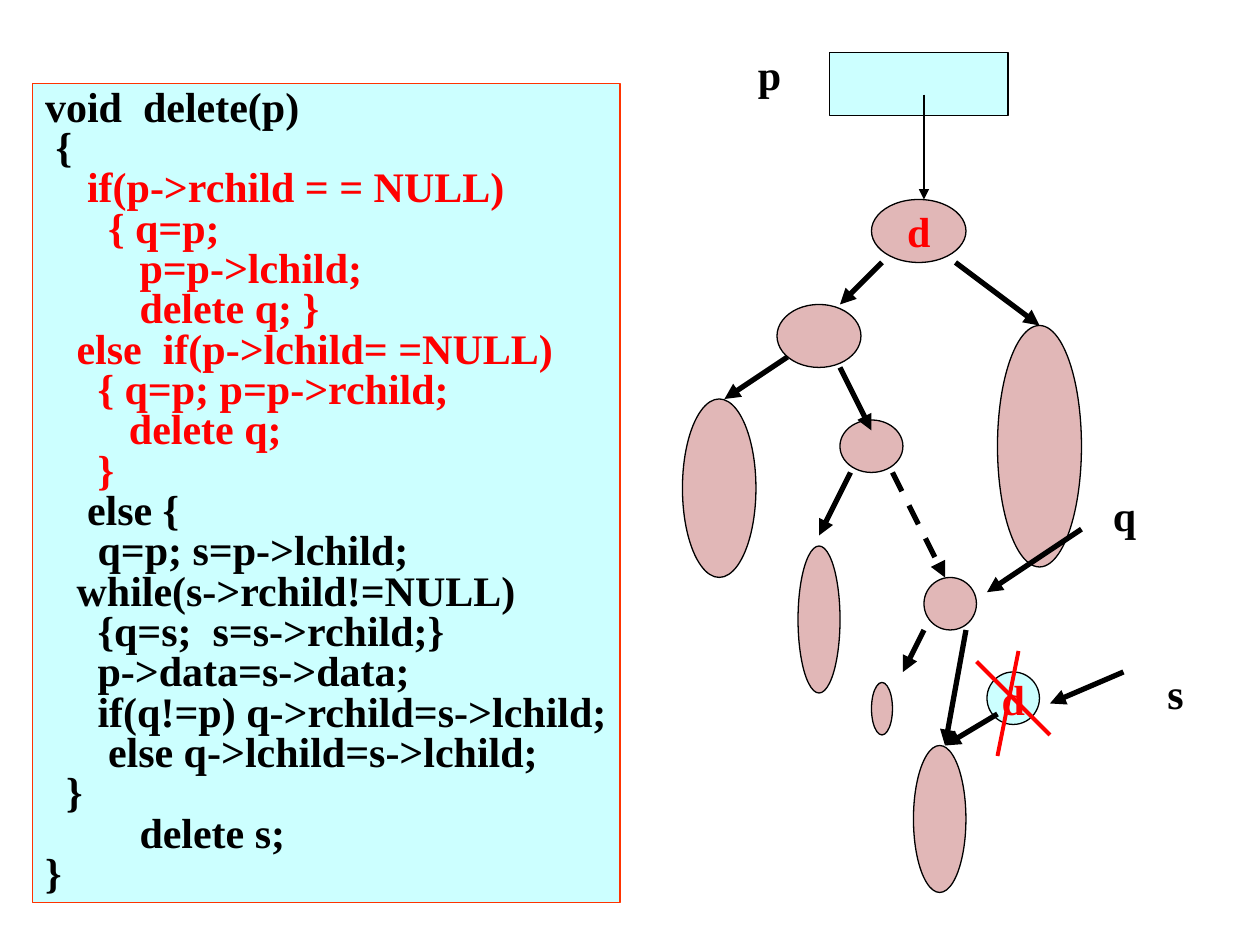
from typing import NamedTuple

from pptx import Presentation, util as u
from pptx.dml.color import RGBColor
from pptx.enum import dml, shapes, text
from pptx.oxml.ns import qn
from lxml import etree

FONT = "Times New Roman"
BLACK, RED, ORANGE, CYAN, PINK = "000000", "FF0000", "FF3300", "CCFFFF", "E1B7B7"


class Node(NamedTuple):
    left: float
    top: float
    width: float
    height: float
    fill: str = PINK
    label: str = ""
    kind: int = shapes.MSO_SHAPE.OVAL


class Line(NamedTuple):
    x1: float
    y1: float
    x2: float
    y2: float
    width: float = 3
    color: str = BLACK
    dashed: bool = False
    arrow: bool = True


class Label(NamedTuple):
    text: str
    left: float
    top: float
    width: float


# The drawing sits on a grid of twelfths of an inch.
NODES = [
    Node(79, 5, 17, 6, CYAN, kind=shapes.MSO_SHAPE.RECTANGLE),
    Node(83, 19, 9, 6, label="d"),
    Node(74, 29, 8, 6),
    Node(65, 38, 7, 17),
    Node(80, 40, 6, 5),
    Node(95, 31, 8, 23),
    Node(88, 55, 5, 5),
    Node(94, 64, 5, 5, CYAN, "d"),
    Node(87, 71, 5, 14),
    Node(76, 52, 4, 14),
    Node(83, 65, 2, 5),
]
ARROWS = [
    Line(88, 9, 88, 19, width=0.75),
    Line(91, 25, 99, 31),
    Line(84, 25, 80, 29),
    Line(75, 34, 69, 38),
    Line(80, 35, 83, 41),
    Line(81, 45, 78, 51),
    Line(85, 45, 90, 55, dashed=True),
    Line(88, 60, 86, 64),
    Line(92, 60, 90, 71),
    Line(95, 68, 90, 71),
    Line(107, 64, 100, 67),
]
LABELS = [Label("p", 71, 4, 4.5), Label("s", 110, 63, 4)]
Q_ARROW = Line(103, 50.4, 94, 56.4)
Q_LABEL = Label("q", 104.8, 46, 4.5)
CROSS = [
    Line(97, 62, 95, 72, 2.25, RED, arrow=False),
    Line(93, 63, 100, 70, 2.25, RED, arrow=False),
]

CODE = """void  delete(p)
 {
    if(p->rchild = = NULL)
      { q=p;
         p=p->lchild;
         delete q; }
   else  if(p->lchild= =NULL)
     { q=p; p=p->rchild;
        delete q;
     }
    else {
     q=p; s=p->lchild;
   while(s->rchild!=NULL)
     {q=s;  s=s->rchild;}
     p->data=s->data;
     if(q!=p) q->rchild=s->lchild;
      else q->lchild=s->lchild;
  }
         delete s;
}""".split("\n")
RED_LINES = range(2, 10)


def rgb(color: str) -> RGBColor:
    return RGBColor.from_string(color)


def grid(n: float) -> u.Length:
    return u.Cm(n * 2.54 / 12)


def add_text(p, content: str, *, size=24, color=BLACK, bold=True, align=None, spacing=None):
    p.alignment = align
    p.line_spacing = spacing
    r = p.add_run()
    r.text = content
    r.font.name, r.font.size, r.font.bold = FONT, u.Pt(size), bold
    r.font.color.rgb = rgb(color)


def style_shape(sp, fill: str, line: str) -> None:
    sp.shadow.inherit = False
    sp.fill.solid()
    sp.fill.fore_color.rgb = rgb(fill)
    sp.line.color.rgb = rgb(line)
    sp.line.width = u.Pt(0.75)


def draw_code(container) -> None:
    sp = container.add_shape(shapes.MSO_SHAPE.RECTANGLE,
                             u.Cm(0.66), u.Cm(1.69), u.Cm(11.84), u.Cm(16.51))
    style_shape(sp, CYAN, ORANGE)
    tf = sp.text_frame
    tf.word_wrap = False
    tf.auto_size = text.MSO_AUTO_SIZE.SHAPE_TO_FIT_TEXT
    tf.vertical_anchor = text.MSO_ANCHOR.TOP
    for i, code_line in enumerate(CODE):
        p = tf.add_paragraph() if i else tf.paragraphs[0]
        add_text(p, code_line, color=RED if i in RED_LINES else BLACK,
                 align=text.PP_ALIGN.LEFT, spacing=0.8)


def draw_node(container, node: Node) -> None:
    sp = container.add_shape(node.kind, *map(grid, node[:4]))
    style_shape(sp, node.fill, BLACK)
    if node.label:
        tf = sp.text_frame
        tf.word_wrap = False
        tf.vertical_anchor = text.MSO_ANCHOR.MIDDLE
        add_text(tf.paragraphs[0], node.label, color=RED, align=text.PP_ALIGN.CENTER)


def draw_line(container, line: Line) -> None:
    c = container.add_connector(shapes.MSO_CONNECTOR.STRAIGHT, *map(grid, line[:4]))
    c.line.color.rgb = rgb(line.color)
    c.line.width = u.Pt(line.width)
    if line.dashed:
        c.line.dash_style = dml.MSO_LINE.DASH
    if line.arrow:
        etree.SubElement(c.line._get_or_add_ln(), qn("a:tailEnd"), type="triangle")
    etree.SubElement(c._element.spPr, qn("a:effectLst"))


def draw_label(container, label: Label) -> None:
    tb = container.add_textbox(grid(label.left), grid(label.top), grid(label.width), grid(6))
    tf = tb.text_frame
    tf.word_wrap = False
    tf.auto_size = text.MSO_AUTO_SIZE.SHAPE_TO_FIT_TEXT
    add_text(tf.paragraphs[0], label.text)


def main() -> None:
    prs = Presentation()
    prs.slide_width, prs.slide_height = u.Cm(25.4), u.Cm(19.05)
    s = prs.slides.add_slide(prs.slide_layouts[6])
    draw_code(s.shapes)
    for node in NODES:
        draw_node(s.shapes, node)
    for arrow in ARROWS:
        draw_line(s.shapes, arrow)
    for label in LABELS:
        draw_label(s.shapes, label)
    q_pointer = s.shapes.add_group_shape().shapes
    draw_line(q_pointer, Q_ARROW)
    draw_label(q_pointer, Q_LABEL)
    cross = s.shapes.add_group_shape().shapes
    for stroke in CROSS:
        draw_line(cross, stroke)
    prs.save("out.pptx")


if __name__ == "__main__":
    main()
